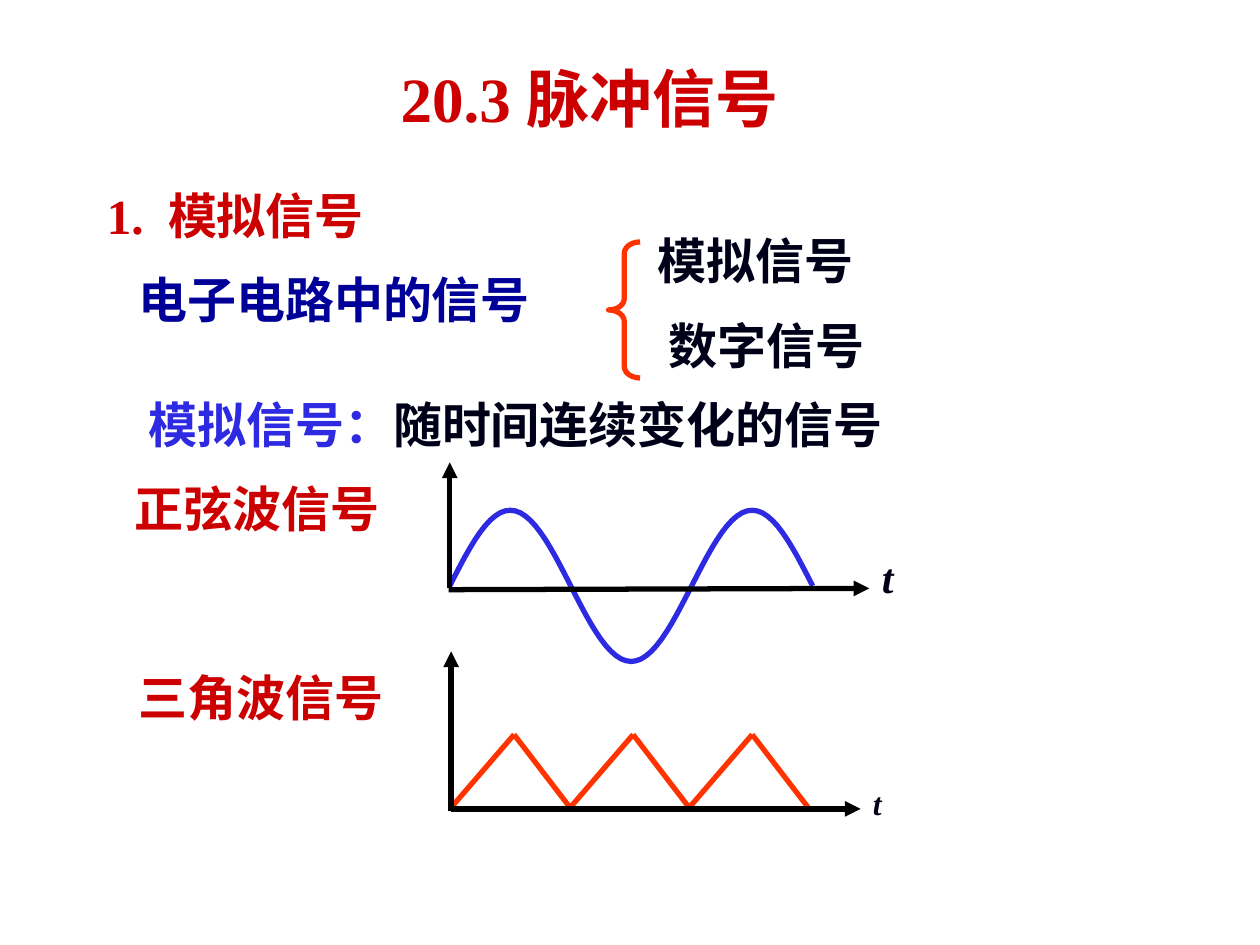
import math
from pptx import Presentation
from pptx import util as u
from pptx.dml.color import RGBColor
from pptx.enum import shapes as sh, text as tx
from pptx.oxml.ns import qn
from lxml import etree

PX = 9144  # EMU per px, 100 px to the inch
FONT, HAN = "Times New Roman", "Noto Sans CJK JP"
RED, NAVY, BLUE = "CC0000", "000099", "2E2AE2"
INK, FLAME, BLACK = "000018", "FF3300", "000000"


def px(n):
    return u.Emu(round(n * PX))


def color(code):
    return RGBColor.from_string(code)


def write(frame, runs, size=28, wrap=False, mid=False, italic=False):
    """Fill a text frame with one paragraph of (text, colour) runs."""
    anchor = tx.MSO_ANCHOR.MIDDLE if mid else tx.MSO_ANCHOR.TOP
    look = dict(word_wrap=wrap, vertical_anchor=anchor, auto_size=tx.MSO_AUTO_SIZE.NONE,
                margin_left=px(10), margin_right=px(10),
                margin_top=px(5), margin_bottom=px(5))
    for key, val in look.items():
        setattr(frame, key, val)
    para = frame.paragraphs[0]
    para.alignment = tx.PP_ALIGN.CENTER if mid else tx.PP_ALIGN.LEFT
    for words, code in runs:
        run = para.add_run()
        run.text = words
        form = dict(name=FONT, size=u.Pt(size), bold=True, italic=italic)
        for key, val in form.items():
            setattr(run.font, key, val)
        run.font.color.rgb = color(code)
        etree.SubElement(run.font._element, qn("a:ea"), typeface=HAN)


def label(slide, box, words, code, **form):
    area = slide.shapes.add_textbox(*map(px, box))
    write(area.text_frame, [(words, code)], **form)


def stroke(part, code):
    part.line.color.rgb = color(code)
    part.line.width = u.Pt(3)


def line(slide, start, end, code, arrow=False):
    part = slide.shapes.add_connector(sh.MSO_CONNECTOR.STRAIGHT, *map(px, start + end))
    stroke(part, code)
    if arrow:
        etree.SubElement(part.line._get_or_add_ln(), qn("a:tailEnd"), type="triangle")
    etree.SubElement(part._element.spPr, qn("a:effectLst"))


def heading(slide, box):
    title = slide.shapes.title
    for key, val in zip(("left", "top", "width", "height"), box):
        setattr(title, key, px(val))
    write(title.text_frame, [("20.3 ", RED), ("脉冲信号", RED)], size=36, wrap=True)


def kinds(slide, x, y):
    """Circuit signals, split by a brace into two kinds."""
    label(slide, (x, y + 31, 332, 57), "电子电路中的信号", NAVY)
    brace = slide.shapes.add_shape(sh.MSO_SHAPE.LEFT_BRACE,
                                   *map(px, (x + 383, y + 14, 25, 108)))
    brace.adjustments[0] = 0.36
    brace.fill.background()
    brace.shadow.inherit = False
    stroke(brace, FLAME)
    label(slide, (x + 411, y, 177, 57), "模拟信号", INK, mid=True)
    label(slide, (x + 420, y + 67, 177, 57), "数字信号", INK, mid=True)


def sine(slide, x, y):
    """Three half waves on axes that meet near (x, y)."""
    half, high, steps = 96, 60, 24
    for turn in range(3):
        left, sign = x + turn * half, (-1) ** turn
        dots = [(round((left + half * i / steps) * PX),
                 round((y - 2 - sign * high * math.sin(math.pi * i / steps)) * PX))
                for i in range(steps + 1)]
        pen = slide.shapes.build_freeform(*dots[0])
        pen.add_line_segments(dots[1:], close=False)
        wave = pen.convert_to_shape()
        wave.fill.background()
        wave.shadow.inherit = False
        stroke(wave, BLUE)
    line(slide, (x - 1, y + 1), (x + 333, y), BLACK, arrow=True)
    line(slide, (x, y), (x, y - 100), BLACK, arrow=True)
    label(slide, (x + 333, y - 34, 62, 50), "t", INK, size=24, wrap=True, italic=True)


def teeth(slide, x, y):
    """Three triangles on axes that meet at (x, y)."""
    step, rise, high = 94.5, 50, 58
    for turn in range(3):
        left = x + turn * step
        peak = (left + rise, y - 1 - high)
        line(slide, (left, y - 1), peak, FLAME)
        line(slide, peak, (left + step, y - 1), FLAME)
    line(slide, (x, y + 2), (x, y - 125), BLACK, arrow=True)
    line(slide, (x, y), (x + 325, y), BLACK, arrow=True)
    label(slide, (x + 325, y - 25, 28, 39), "t", INK, size=18, italic=True)


def main():
    deck = Presentation()
    deck.slide_width, deck.slide_height = px(1000), px(750)
    slide = deck.slides.add_slide(deck.slide_layouts[5])
    heading(slide, (308, 42, 408, 83))
    label(slide, (75, 142, 233, 58), "1.  模拟信号", RED, wrap=True)
    kinds(slide, 100, 178)
    # Definition
    area = slide.shapes.add_textbox(*map(px, (108, 308, 605, 57)))
    write(area.text_frame, [("模拟信号：", BLUE), ("随时间连续变化的信号", INK)])
    # Wave forms
    label(slide, (97, 375, 217, 57), "正弦波信号", RED, wrap=True)
    sine(slide, 357, 467)
    label(slide, (100, 525, 215, 57), "三角波信号", RED)
    teeth(slide, 358, 642)
    deck.save("out.pptx")


if __name__ == "__main__":
    main()
